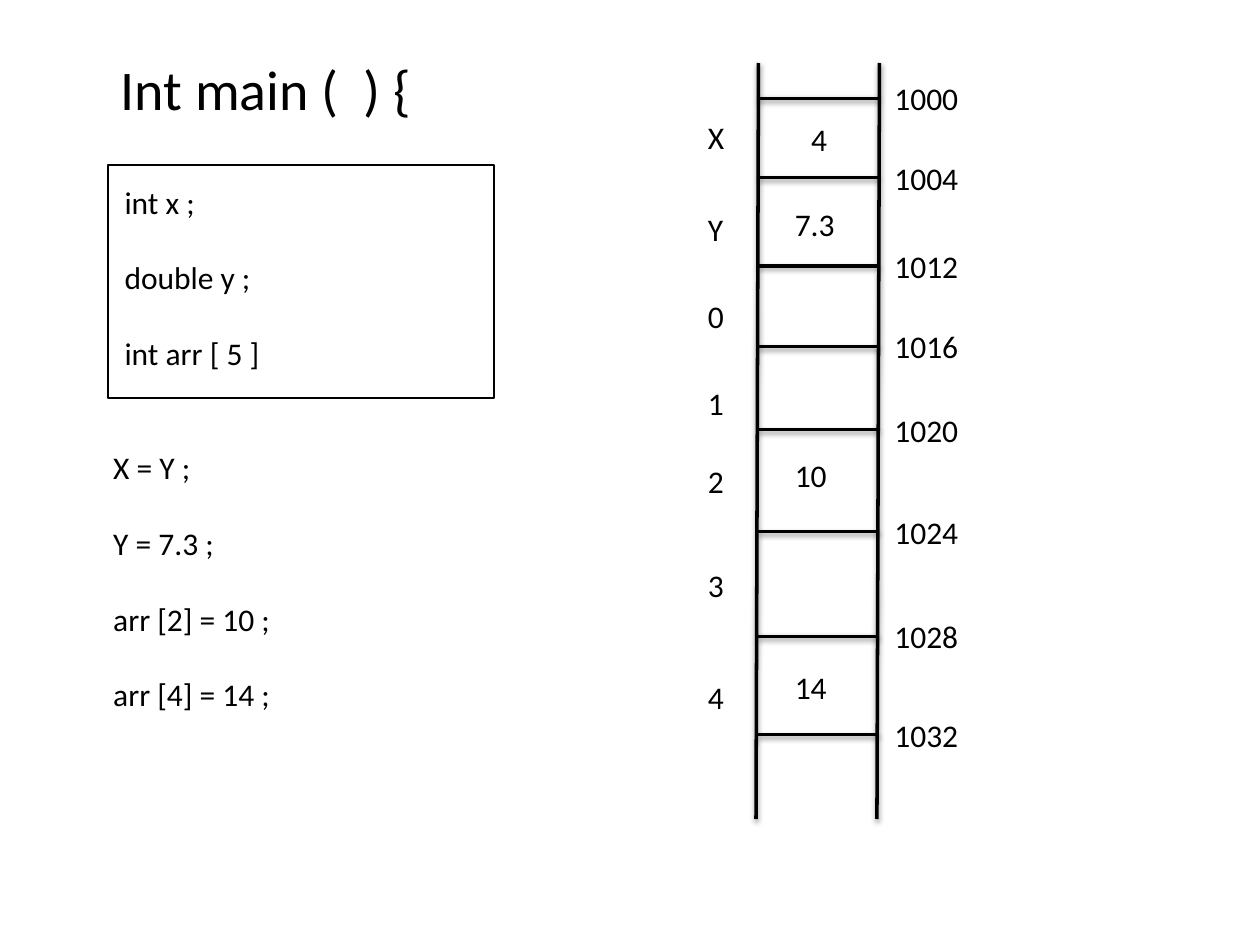
from lxml.etree import SubElement
from pptx import Presentation
from pptx.dml.color import RGBColor
from pptx.enum.shapes import MSO_CONNECTOR, MSO_SHAPE
from pptx.oxml.ns import qn
from pptx.util import Inches, Pt

COLORS = {"ink": "000000"}


class MemorySlide:
    font = "Calibri"
    size = 18
    ink = RGBColor.from_string(COLORS["ink"])

    def __init__(self, deck):
        self.page = deck.slides.add_slide(deck.slide_layouts[6])

    def text(self, left, top, width, height, lines, size=size, gap=0):
        box = self.page.shapes.add_textbox(
            Inches(left), Inches(top), Inches(width), Inches(height))
        frame = box.text_frame
        frame.word_wrap = True
        frame.text = "\n".join(lines)
        for para in frame.paragraphs:
            para.font.name = self.font
            para.font.size = Pt(size)
            para.font.color.rgb = self.ink
            para.space_after = Pt(gap)

    def frame(self, left, top, width, height):
        shape = self.page.shapes.add_shape(
            MSO_SHAPE.RECTANGLE, Inches(left), Inches(top), Inches(width), Inches(height))
        shape.shadow.inherit = False
        shape.fill.background()
        shape.line.color.rgb = self.ink
        shape.line.width = Pt(1)

    def line(self, x1, y1, x2, y2):
        line = self.page.shapes.add_connector(
            MSO_CONNECTOR.STRAIGHT, Inches(x1), Inches(y1), Inches(x2), Inches(y2))
        line.line.color.rgb = self.ink
        line.line.width = Pt(2)
        effects = SubElement(line._element.spPr, qn("a:effectLst"))
        shadow = SubElement(effects, qn("a:outerShdw"), blurRad=str(Pt(3.1)),
                            dist=str(Pt(1.6)), dir="5400000", rotWithShape="0")
        color = SubElement(shadow, qn("a:srgbClr"), val=COLORS["ink"])
        SubElement(color, qn("a:alpha"), val="38000")


deck = Presentation()
deck.slide_width, deck.slide_height = Inches(10), Inches(7.5)
slide = MemorySlide(deck)

slide.text(0.86, 0.38, 2.75, 0.66, ["Int main (  ) {"], size=32)
slide.text(0.8, 3.51, 3.48, 2.22,
           ["X = Y ;", "Y = 7.3 ;", "arr [2] = 10 ;", "arr [4] = 14 ;"], gap=21.6)
slide.text(0.89, 1.4, 2.96, 1.62, ["int x ;", "double y ;", "int arr [ 5 ]"], gap=21.6)
slide.frame(0.86, 1.31, 3.06, 1.85)

for rail in (6.02, 6.98):
    slide.line(rail, 0.5, rail - 0.02, 6.5)

addresses = [(1000, 0.78), (1004, 1.41), (1012, 2.11), (1016, 2.75),
             (1020, 3.41), (1024, 4.22), (1028, 5.05), (1032, 5.83)]
for address, y in addresses:
    slide.line(6.02, y, 6.98, y)
    slide.text(7, y - 0.2, 1.38, 0.4, [str(address)])

names = [("X", 0.89), ("Y", 1.62), ("0", 2.31), ("1", 3), ("2", 3.62), ("3", 4.44), ("4", 5.33)]
for name, top in names:
    slide.text(5.52, top, 0.34, 0.4, [name])

values = [("4", 6.34, 0.9), ("7.3", 6.21, 1.58), ("10", 6.21, 3.57), ("14", 6.21, 5.25)]
for value, left, top in values:
    slide.text(left, top, 0.6, 0.4, [value])

deck.save("out.pptx")
